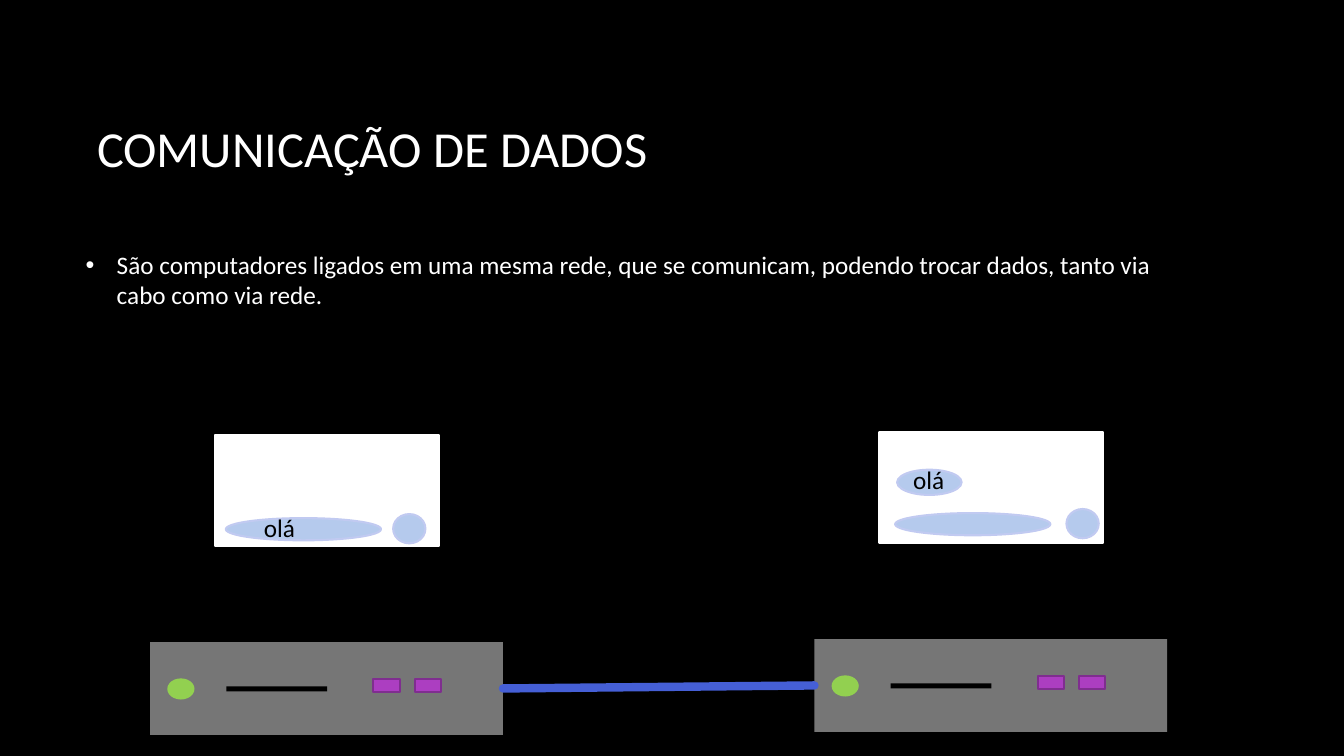
from dataclasses import dataclass
from typing import Optional

from lxml.etree import SubElement
from pptx import Presentation
from pptx.dml.color import RGBColor
from pptx.enum.shapes import MSO_CONNECTOR, MSO_SHAPE
from pptx.enum.text import MSO_ANCHOR, MSO_AUTO_SIZE, PP_ALIGN
from pptx.oxml.ns import qn
from pptx.util import Inches, Pt

COLUMNS, ROWS = 80, 45
BLACK, WHITE = "000000", "FFFFFF"
BUBBLE, BUBBLE_EDGE = "B5CAED", "C1CAF1"
PORT, PORT_EDGE = "AC3EC1", "7F2E8F"
CASE, POWER, CABLE = "767676", "92D050", "455FD6"

deck = Presentation()
deck.slide_width, deck.slide_height = Inches(13.33), Inches(7.5)
slide = deck.slides.add_slide(deck.slide_layouts[5])


@dataclass(frozen=True)
class Piece:
    column: float
    row: float
    columns: float
    rows: float
    fill: str
    edge: Optional[str] = None
    outline: MSO_SHAPE = MSO_SHAPE.RECTANGLE


@dataclass(frozen=True)
class Computer:
    column: float
    row: float
    pieces: tuple[Piece, ...]


def across(columns: float) -> int:
    return round(deck.slide_width * columns / COLUMNS)


def down(rows: float) -> int:
    return round(deck.slide_height * rows / ROWS)


def color(code: str) -> RGBColor:
    return RGBColor.from_string(code)


def place(target, column: float, row: float, columns: float, rows: float) -> None:
    target.left, target.top = across(column), down(row)
    target.width, target.height = across(columns), down(rows)


def draw_piece(piece: Piece, column: float = 0, row: float = 0) -> None:
    shape = slide.shapes.add_shape(
        piece.outline, across(column + piece.column), down(row + piece.row),
        across(piece.columns), down(piece.rows))
    shape.shadow.inherit = False
    shape.fill.solid()
    shape.fill.fore_color.rgb = color(piece.fill)
    if piece.edge:
        shape.line.color.rgb = color(piece.edge)
        shape.line.width = Pt(1.5)
    else:
        shape.line.fill.background()


def draw_computer(computer: Computer) -> None:
    for piece in computer.pieces:
        draw_piece(piece, computer.column, computer.row)


def draw_cable(start: tuple[float, float], end: tuple[float, float]) -> None:
    cable = slide.shapes.add_connector(
        MSO_CONNECTOR.STRAIGHT, across(start[0]), down(start[1]),
        across(end[0]), down(end[1]))
    cable.line.color.rgb = color(CABLE)
    cable.line.width = Pt(6)
    cable.line._get_or_add_ln().set("cap", "rnd")
    SubElement(cable._element.spPr, qn("a:effectLst"))


def write(holder, text: str, *, size: float = 18, ink: str = WHITE,
          anchor: MSO_ANCHOR = MSO_ANCHOR.TOP, bullet: bool = False,
          grow: bool = False) -> None:
    frame = holder.text_frame
    frame.word_wrap = True
    frame.auto_size = MSO_AUTO_SIZE.SHAPE_TO_FIT_TEXT if grow else MSO_AUTO_SIZE.NONE
    frame.vertical_anchor = anchor
    paragraph = frame.paragraphs[0]
    paragraph.alignment = PP_ALIGN.LEFT
    run = paragraph.add_run()
    run.text = text
    run.font.name = "Calibri"
    run.font.size = Pt(size)
    run.font.color.rgb = color(ink)
    if bullet:
        paragraph.space_after = Pt(10)
        properties = paragraph._p.get_or_add_pPr()
        indent = Inches(0.31)
        properties.set("marL", str(indent))
        properties.set("indent", str(-indent))
        bullet_color = SubElement(properties, qn("a:buClr"))
        SubElement(bullet_color, qn("a:srgbClr"), val=ink)
        SubElement(properties, qn("a:buFont"), typeface="Arial")
        SubElement(properties, qn("a:buChar"), char="•")


def write_box(text: str, column: float, row: float, columns: float, rows: float,
              **style) -> None:
    box = slide.shapes.add_textbox(
        across(column), down(row), across(columns), down(rows))
    write(box, text, **style)


def bubble(column: float, row: float, columns: float, rows: float) -> Piece:
    return Piece(column, row, columns, rows, BUBBLE, BUBBLE_EDGE,
                 MSO_SHAPE.FLOWCHART_CONNECTOR)


def send_button(column: float, row: float) -> Piece:
    return bubble(column, row, 1.92, 1.74)


def input_field(column: float, row: float) -> Piece:
    return bubble(column, row, 9.24, 1.32)


def greet(column: float, row: float) -> None:
    write_box("olá", column, row, 7.02, 2.4, ink=BLACK, grow=True)


bezel = Piece(2.4, -13.86, 15.96, 9.54, BLACK)
common_pieces = (
    Piece(3.87, -12.3, 13.32, 6.6, WHITE, WHITE),
    Piece(9.33, -4.32, 1.86, 1.56, BLACK, BLACK),
    Piece(6.21, -2.76, 8.28, 2.58, BLACK, BLACK, MSO_SHAPE.ROUND_2_SAME_RECTANGLE),
    Piece(0, 0, 21, 5.52, CASE),
    Piece(1.02, 2.16, 1.62, 1.26, POWER, outline=MSO_SHAPE.FLOWCHART_CONNECTOR),
    Piece(4.53, 2.64, 6, 0.3, BLACK),
    *(Piece(13.29 + 2.46 * port, 2.22, 1.56, 0.78, PORT, PORT_EDGE)
      for port in range(2)),
)
sender = Computer(8.94, 38.22, common_pieces)
receiver = Computer(48.48, 38.04, (bezel, *common_pieces))


def main() -> None:
    slide.background.fill.solid()
    slide.background.fill.fore_color.rgb = color(BLACK)

    title = slide.shapes.title
    place(title, 4.5, 4.02, 66.48, 9.54)
    write(title, " COMUNICAÇÃO DE DADOS", size=36, anchor=MSO_ANCHOR.MIDDLE)
    write_box("São computadores ligados em uma mesma rede, que se comunicam, "
              "podendo trocar dados, tanto via cabo como via rede.",
              4.5, 4.68, 66.48, 23.94, anchor=MSO_ANCHOR.MIDDLE, bullet=True)

    draw_computer(sender)
    draw_computer(receiver)
    draw_cable((29.94, 40.98), (48.48, 40.8))

    draw_piece(send_button(23.4, 30.6))
    draw_piece(input_field(13.44, 30.84))
    greet(15.12, 30.18)

    draw_piece(send_button(63.48, 30.3))
    draw_piece(input_field(53.28, 30.54))
    draw_piece(bubble(53.4, 27.96, 3.84, 1.5))
    greet(53.76, 27.36)

    deck.save("out.pptx")


if __name__ == "__main__":
    main()
